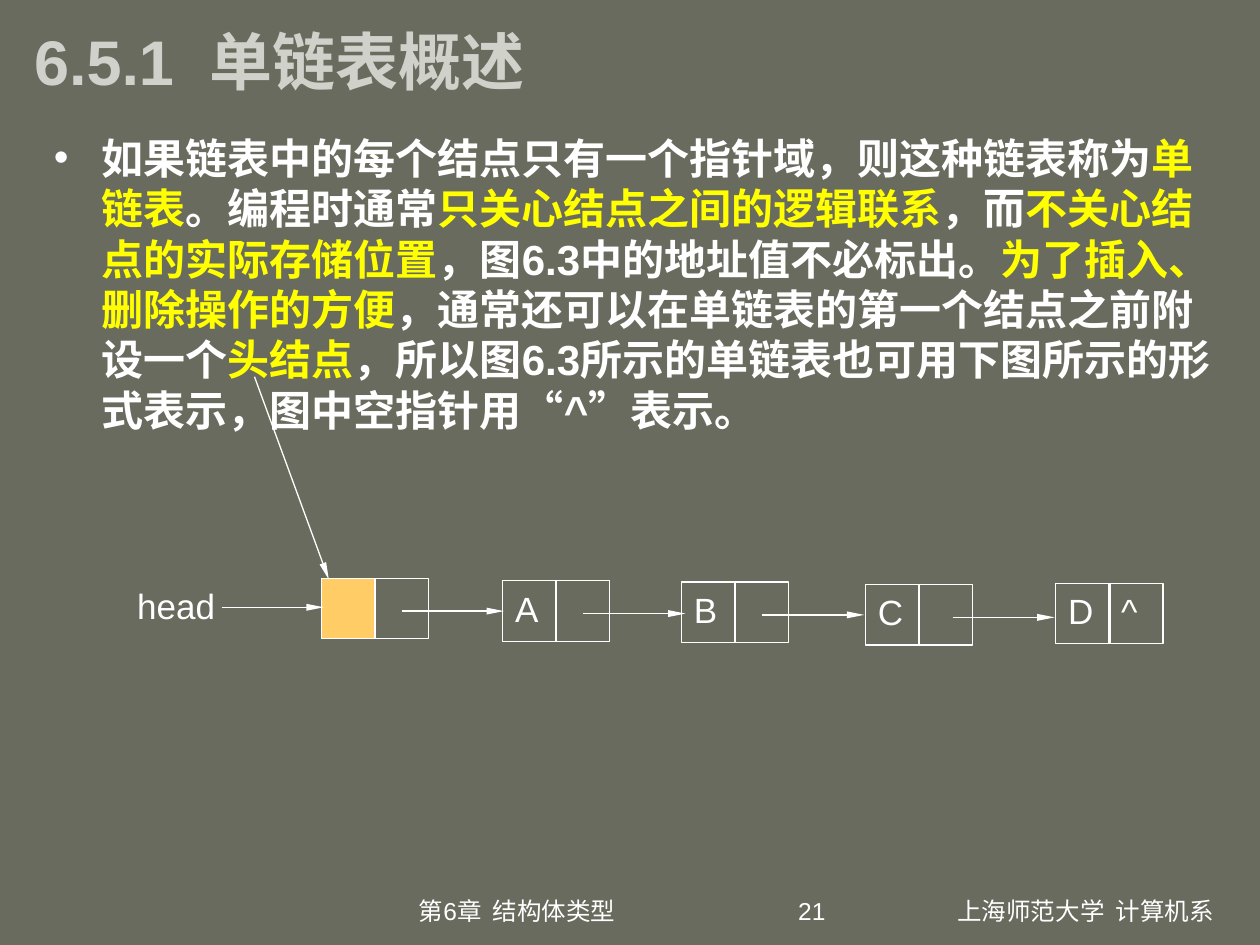
import pptx
import pptx.dml.color
import pptx.enum.lang
import pptx.enum.shapes
import pptx.enum.text
import pptx.oxml
import pptx.oxml.ns
import pptx.util
from dataclasses import dataclass

Inches = pptx.util.Inches
Pt = pptx.util.Pt
Align = pptx.enum.text.PP_ALIGN
Anchor = pptx.enum.text.MSO_ANCHOR
NAMESPACE = pptx.oxml.ns.nsdecls("a")


@dataclass(frozen=True)
class Theme:
    font: str = "Arial"
    background: str = "686B5D"
    title: str = "D1D1CB"
    text: str = "FFFFFF"
    highlight: str = "FFFF00"
    head_node: str = "FFCC66"
    title_size: int = 36
    body_size: int = 24
    label_size: int = 20
    footer_size: int = 14
    line_width: float = 0.75


def rgb(color):
    return pptx.dml.color.RGBColor.from_string(color)


class SlideBuilder:
    def __init__(self, presentation, theme):
        self.theme = theme
        self.slide = presentation.slides.add_slide(presentation.slide_layouts[5])
        fill = self.slide.background.fill
        fill.solid()
        fill.fore_color.rgb = rgb(theme.background)

    def add_run(self, paragraph, text, size, color=None, bold=False):
        run = paragraph.add_run()
        run.text = text
        run.font.name = self.theme.font
        run.font.size = Pt(size)
        run.font.bold = bold
        run.font.color.rgb = rgb(color or self.theme.text)
        run.font.language_id = pptx.enum.lang.MSO_LANGUAGE_ID.SIMPLIFIED_CHINESE

    def prepare_text(self, shape, align, anchor=Anchor.TOP):
        """Set wrapping and alignment, and return the first paragraph."""
        frame = shape.text_frame
        frame.word_wrap = True
        frame.auto_size = pptx.enum.text.MSO_AUTO_SIZE.NONE
        frame.vertical_anchor = anchor
        paragraph = frame.paragraphs[0]
        paragraph.alignment = align
        return paragraph

    def add_title(self, text, left, top, width, height):
        title = self.slide.shapes.title
        title.left, title.top = Inches(left), Inches(top)
        title.width, title.height = Inches(width), Inches(height)
        paragraph = self.prepare_text(title, Align.LEFT, Anchor.MIDDLE)
        self.add_run(paragraph, text, self.theme.title_size, self.theme.title, True)

    def add_text(self, text, box, size, align=Align.LEFT, space_before=0):
        shape = self.slide.shapes.add_textbox(*map(Inches, box))
        paragraph = self.prepare_text(shape, align)
        paragraph.space_before = Pt(space_before)
        self.add_run(paragraph, text, size)

    def add_bullet(self, parts, box):
        """Add one bulleted paragraph; every second part is highlighted."""
        shape = self.slide.shapes.add_textbox(*map(Inches, box))
        paragraph = self.prepare_text(shape, Align.LEFT)
        paragraph.space_before = Pt(6)
        properties = paragraph._p.get_or_add_pPr()
        properties.set("marL", str(Inches(0.38)))
        properties.set("indent", str(Inches(-0.38)))
        properties.set("hangingPunct", "0")
        for xml in (
            f'<a:buClr {NAMESPACE}><a:srgbClr val="{self.theme.text}"/></a:buClr>',
            f'<a:buFont {NAMESPACE} typeface="{self.theme.font}"/>',
            f'<a:buChar {NAMESPACE} char="•"/>',
        ):
            properties.append(pptx.oxml.parse_xml(xml))
        for index, part in enumerate(parts):
            color = self.theme.highlight if index % 2 else self.theme.text
            self.add_run(paragraph, part, self.theme.body_size, color, True)

    def add_cell(self, left, top, width, height, label="", fill=None):
        cell = self.slide.shapes.add_shape(
            pptx.enum.shapes.MSO_SHAPE.RECTANGLE,
            Inches(left), Inches(top), Inches(width), Inches(height))
        cell.shadow.inherit = False
        if fill:
            cell.fill.solid()
            cell.fill.fore_color.rgb = rgb(fill)
        else:
            cell.fill.background()
        cell.line.color.rgb = rgb(self.theme.text)
        cell.line.width = Pt(self.theme.line_width)
        if label:
            paragraph = self.prepare_text(cell, Align.JUSTIFY)
            self.add_run(paragraph, label, self.theme.label_size)

    def add_arrow(self, start, end):
        arrow = self.slide.shapes.add_connector(
            pptx.enum.shapes.MSO_CONNECTOR.STRAIGHT, *map(Inches, start + end))
        arrow.line.color.rgb = rgb(self.theme.text)
        arrow.line.width = Pt(self.theme.line_width)
        arrow.line._get_or_add_ln().append(pptx.oxml.parse_xml(
            f'<a:tailEnd {NAMESPACE} type="triangle" w="sm" len="lg"/>'))
        arrow._element.spPr.append(
            pptx.oxml.parse_xml(f"<a:effectLst {NAMESPACE}/>"))


BODY_PARTS = (
    "如果链表中的每个结点只有一个指针域，则这种链表称为",
    "单链表",
    "。编程时通常",
    "只关心结点之间的逻辑联系",
    "，而",
    "不关心结点的实际存储位置",
    "，图6.3中的地址值不必标出。",
    "为了插入、删除操作的方便",
    "，通常还可以在单链表的第一个结点之前附设一个",
    "头结点",
    "，所以图6.3所示的单链表也可用下图所示的形式表示，图中空指针用“^”表示。",
)

# left, top, data label, pointer label, start of the outgoing arrow
NODES = (
    (2.55, 4.59, "", "", 3.19),
    (3.99, 4.61, "A", "", 4.63),
    (5.41, 4.62, "B", "", 6.05),
    (6.87, 4.64, "C", "", 7.56),
    (8.38, 4.63, "D", "^", None),
)
CELL_WIDTH, CELL_HEIGHT, CELL_STEP = 0.43, 0.48, 0.42
ARROW_LENGTH, ARROW_DROP = 0.81, 0.26


def add_linked_list(builder):
    theme = builder.theme
    for index, (left, top, data, pointer, arrow_left) in enumerate(NODES):
        fill = theme.head_node if index == 0 else None
        builder.add_cell(left, top, CELL_WIDTH, CELL_HEIGHT, data, fill)
        builder.add_cell(left + CELL_STEP, top, CELL_WIDTH, CELL_HEIGHT, pointer)
        if arrow_left is not None:
            y = top + ARROW_DROP
            builder.add_arrow((arrow_left, y), (arrow_left + ARROW_LENGTH, y))
    builder.add_text("head", (0.99, 4.59, 0.94, 0.44), theme.label_size,
                     space_before=12.5)
    builder.add_arrow((1.76, 4.82), (1.76 + ARROW_LENGTH, 4.82))
    builder.add_arrow((2.02, 2.99), (2.61, 4.6))


def main():
    presentation = pptx.Presentation()
    presentation.slide_width = Inches(10)
    presentation.slide_height = Inches(7.5)
    theme = Theme()
    builder = SlideBuilder(presentation, theme)
    builder.add_title("6.5.1  单链表概述", 0.17, 0, 9, 0.95)
    builder.add_bullet(BODY_PARTS, (0.33, 1, 9.42, 5.89))
    add_linked_list(builder)
    for text, left, width, align in (
        ("第6章  结构体类型", 2.75, 2.71, Align.CENTER),
        ("21", 5.57, 1.08, Align.RIGHT),
        ("上海师范大学  计算机系", 7.5, 2.33, Align.LEFT),
    ):
        builder.add_text(text, (left, 7.06, width, 0.35), theme.footer_size, align)
    presentation.save("out.pptx")


if __name__ == "__main__":
    main()
